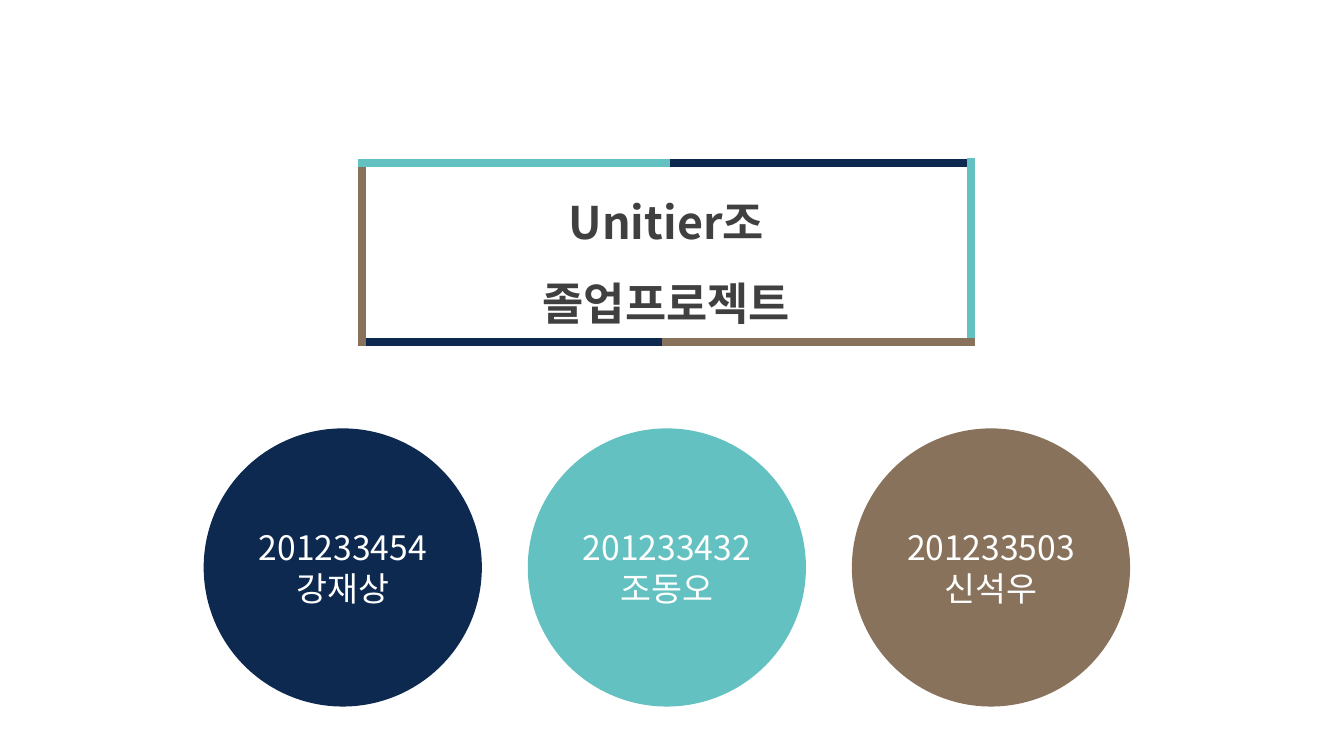
"""Build the title slide of a graduation project team."""

from dataclasses import dataclass

import lxml.etree
import pptx
import pptx.dml.color
import pptx.enum.shapes
import pptx.enum.text
import pptx.oxml.ns
import pptx.shapes.base
import pptx.slide
import pptx.text.text
import pptx.util

NAVY = pptx.dml.color.RGBColor(0x0D, 0x29, 0x50)
TEAL = pptx.dml.color.RGBColor(0x63, 0xC1, 0xC1)
BROWN = pptx.dml.color.RGBColor(0x88, 0x72, 0x5B)
WHITE = pptx.dml.color.RGBColor(0xFF, 0xFF, 0xFF)
GRAY = pptx.dml.color.RGBColor(0x40, 0x40, 0x40)

FONT_NAME = "Noto Sans CJK KR"
CIRCLE_LEFT, CIRCLE_TOP = 145.5, 306
CIRCLE_SIZE, CIRCLE_PITCH = 198.7, 231.5
FRAME_LEFT, FRAME_RIGHT = 258.5, 693.4
FRAME_TOP, FRAME_BOTTOM = 116.6, 244.1
SIDE_END = 247
FRAME_WIDTH = 6


@dataclass(frozen=True)
class Member:
    """A team member shown in a circle."""

    number: str
    name: str
    color: pptx.dml.color.RGBColor


@dataclass(frozen=True)
class FrameLine:
    """One straight piece of the title frame."""

    start_x: float
    start_y: float
    end_x: float
    end_y: float
    color: pptx.dml.color.RGBColor


MEMBERS = (
    Member("201233454", "강재상", NAVY),
    Member("201233432", "조동오", TEAL),
    Member("201233503", "신석우", BROWN),
)

FRAME_LINES = (
    FrameLine(476, FRAME_TOP, 692, FRAME_TOP, NAVY),
    FrameLine(259, FRAME_BOTTOM, 475, FRAME_BOTTOM, NAVY),
    FrameLine(FRAME_LEFT, FRAME_TOP, FRAME_LEFT, SIDE_END, BROWN),
    FrameLine(FRAME_RIGHT, 113, FRAME_RIGHT, SIDE_END, TEAL),
    FrameLine(255.6, FRAME_TOP, 478.8, FRAME_TOP, TEAL),
    FrameLine(473, FRAME_BOTTOM, 696.2, FRAME_BOTTOM, BROWN),
)


def write_text(
    frame: pptx.text.text.TextFrame,
    lines: tuple[str, ...],
    *,
    size: float,
    color: pptx.dml.color.RGBColor,
    bold: bool = False,
    line_spacing: float | None = None,
) -> None:
    """Write centred paragraphs into a text frame."""
    frame.word_wrap = True
    for index, line in enumerate(lines):
        paragraph = frame.add_paragraph() if index else frame.paragraphs[0]
        paragraph.alignment = pptx.enum.text.PP_ALIGN.CENTER
        paragraph.line_spacing = line_spacing
        run = paragraph.add_run()
        run.text = line
        run.font.name = FONT_NAME
        run.font.size = pptx.util.Pt(size)
        run.font.bold = bold
        run.font.color.rgb = color
        east_asian = lxml.etree.SubElement(
            run.font._element, pptx.oxml.ns.qn("a:ea")
        )
        east_asian.set("typeface", FONT_NAME)


def draw_member(slide: pptx.slide.Slide, member: Member, column: int) -> None:
    """Draw a member's circle in the given column."""
    circle = slide.shapes.add_shape(
        pptx.enum.shapes.MSO_SHAPE.OVAL,
        pptx.util.Pt(CIRCLE_LEFT + column * CIRCLE_PITCH),
        pptx.util.Pt(CIRCLE_TOP),
        pptx.util.Pt(CIRCLE_SIZE),
        pptx.util.Pt(CIRCLE_SIZE),
    )
    circle.shadow.inherit = False
    circle.fill.solid()
    circle.fill.fore_color.rgb = member.color
    circle.line.fill.background()
    circle.text_frame.vertical_anchor = pptx.enum.text.MSO_ANCHOR.MIDDLE
    write_text(
        circle.text_frame, (member.number, member.name), size=24, color=WHITE
    )


def draw_title(slide: pptx.slide.Slide) -> None:
    """Draw the two-line title."""
    title = slide.shapes.add_textbox(
        pptx.util.Pt(260),
        pptx.util.Pt(FRAME_TOP),
        pptx.util.Pt(432),
        pptx.util.Pt(117.4),
    )
    title.text_frame.auto_size = pptx.enum.text.MSO_AUTO_SIZE.SHAPE_TO_FIT_TEXT
    write_text(
        title.text_frame,
        ("Unitier조", "졸업프로젝트"),
        size=32,
        color=GRAY,
        bold=True,
        line_spacing=1.5,
    )


def draw_frame_line(slide: pptx.slide.Slide, piece: FrameLine) -> None:
    """Draw one piece of the title frame."""
    connector = slide.shapes.add_connector(
        pptx.enum.shapes.MSO_CONNECTOR.STRAIGHT,
        pptx.util.Pt(piece.start_x),
        pptx.util.Pt(piece.start_y),
        pptx.util.Pt(piece.end_x),
        pptx.util.Pt(piece.end_y),
    )
    connector.line.color.rgb = piece.color
    connector.line.width = pptx.util.Pt(FRAME_WIDTH)
    lxml.etree.SubElement(
        connector._element.spPr, pptx.oxml.ns.qn("a:effectLst")
    )


def main() -> None:
    """Build and save the presentation."""
    presentation = pptx.Presentation()
    presentation.slide_width = pptx.util.Pt(960)
    presentation.slide_height = pptx.util.Pt(540)
    slide = presentation.slides.add_slide(presentation.slide_layouts[6])
    for column, member in enumerate(MEMBERS):
        draw_member(slide, member, column)
    draw_title(slide)
    for piece in FRAME_LINES:
        draw_frame_line(slide, piece)
    presentation.save("out.pptx")


if __name__ == "__main__":
    main()
